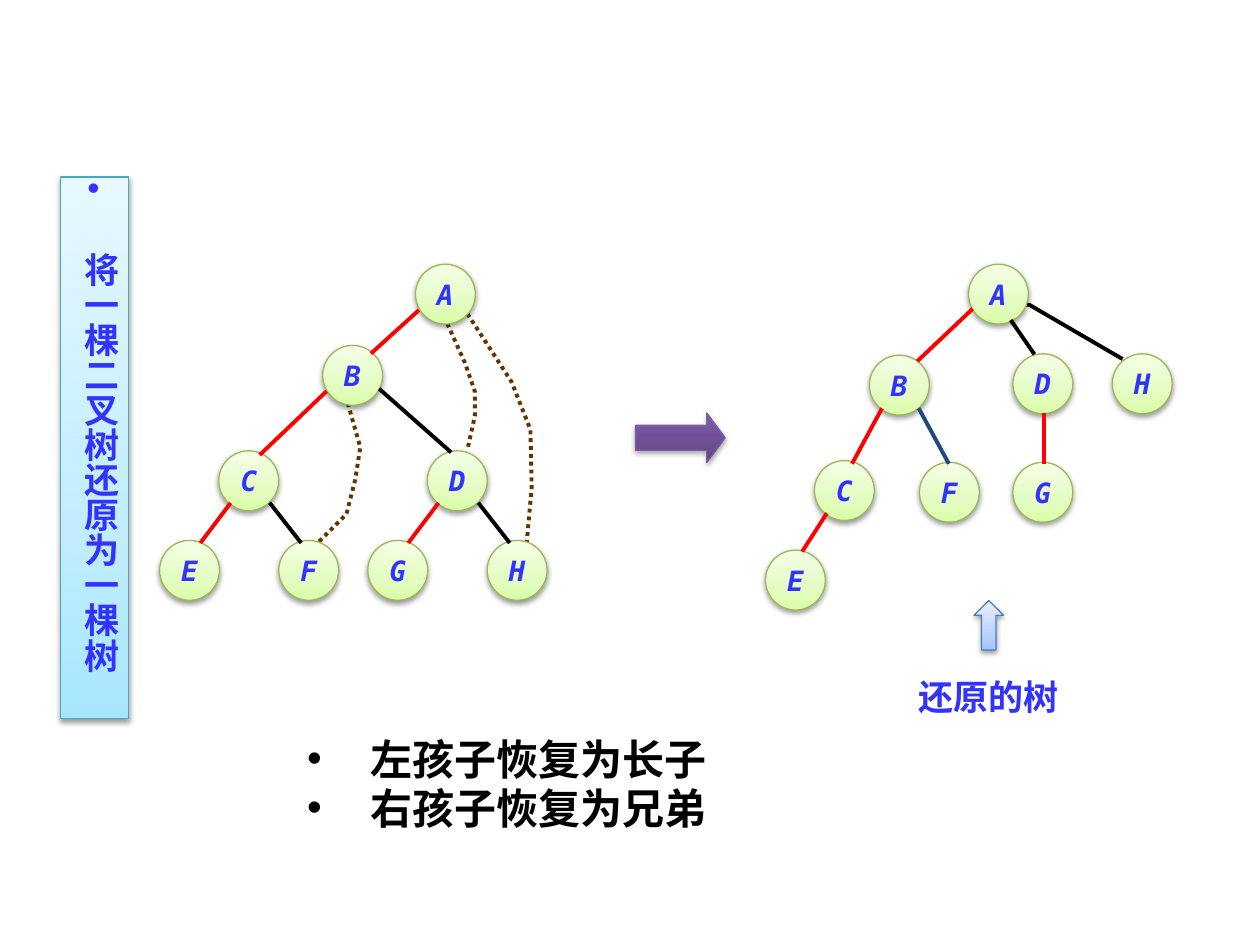
from lxml.etree import SubElement
from pptx import Presentation
from pptx.dml.color import RGBColor
from pptx.enum.dml import MSO_LINE_DASH_STYLE as DASH
from pptx.enum.shapes import MSO_CONNECTOR as CONNECTOR, MSO_SHAPE as SHAPE
from pptx.enum.text import MSO_ANCHOR as ANCHOR, MSO_AUTO_SIZE as AUTO_SIZE, PP_ALIGN as ALIGN
from pptx.oxml import parse_xml
from pptx.oxml.ns import nsdecls, qn
from pptx.util import Pt

BLUE = RGBColor(0x33, 0x33, 0xFF)
RED = RGBColor(0xFF, 0x00, 0x00)
BLACK = RGBColor(0x00, 0x00, 0x00)
WHITE = RGBColor(0xFF, 0xFF, 0xFF)
NAVY = RGBColor(0x1F, 0x49, 0x7D)
BROWN = RGBColor(0x66, 0x33, 0x00)
NODE_LINE = RGBColor(0x98, 0xB9, 0x55)
ARROW_LINE = RGBColor(0x7D, 0x60, 0xA0)
BANNER_LINE = RGBColor(0x46, 0xAA, 0xC5)
POINTER_LINE = RGBColor(0x4B, 0x7E, 0xBC)
NODE_STOPS = [(0, RGBColor(0xDA, 0xFD, 0xA7)), (35, RGBColor(0xE4, 0xFC, 0xC2)), (100, RGBColor(0xF5, 0xFF, 0xE7))]
ARROW_STOPS = [(0, RGBColor(0x5F, 0x44, 0x80)), (80, RGBColor(0x7B, 0x58, 0xA6)), (100, RGBColor(0x7C, 0x57, 0xA8))]
BANNER_STOPS = [(0, RGBColor(0xA7, 0xE6, 0xFF)), (35, RGBColor(0xC1, 0xED, 0xFF)), (100, RGBColor(0xE7, 0xF8, 0xFF))]
POINTER_STOPS = [(0, RGBColor(0xA4, 0xC4, 0xFF)), (35, RGBColor(0xBF, 0xD4, 0xFF)), (100, RGBColor(0xE6, 0xEE, 0xFF))]
MONO = "DejaVu Sans Mono"
CJK_JP = "Noto Sans CJK JP"
CJK_SC = "Noto Sans CJK SC"
NODE_SIZE = 34.2

presentation = Presentation()
presentation.slide_width = Pt(720)
presentation.slide_height = Pt(540)
slide = presentation.slides.add_slide(presentation.slide_layouts[6])
shapes = slide.shapes


def add_glossy(kind, left, top, width, height, stops, line_color, opacity=38):
    shape = shapes.add_shape(kind, Pt(left), Pt(top), Pt(width), Pt(height))
    shape.line.color.rgb = line_color
    shape.line.width = Pt(0.75)
    shape.shadow.inherit = False
    shape.fill.gradient()
    shape.fill.gradient_angle = 90
    properties = shape._element.spPr
    stop_list = properties.find(qn("a:gradFill")).find(qn("a:gsLst"))
    for stop in list(stop_list):
        stop_list.remove(stop)
    for position, color in stops:
        stop = SubElement(stop_list, qn("a:gs"), pos=str(position * 1000))
        SubElement(stop, qn("a:srgbClr"), val=str(color))
    properties.find(qn("a:effectLst")).append(parse_xml(
        f'<a:outerShdw {nsdecls("a")} blurRad="{Pt(3.1)}" dist="{Pt(1.6)}" dir="5400000" rotWithShape="0">'
        f'<a:srgbClr val="000000"><a:alpha val="{opacity * 1000}"/></a:srgbClr></a:outerShdw>'))
    return shape


def add_text(paragraph, text, size, font, color, bullet=False):
    run = paragraph.add_run()
    run.text = text
    run.font.size = Pt(size)
    run.font.bold = True
    run.font.color.rgb = color
    run.font.name = font
    SubElement(run._r.get_or_add_rPr(), qn("a:ea"), typeface=font)
    if bullet:
        properties = paragraph._p.get_or_add_pPr()
        properties.set("marL", str(Pt(36)))
        properties.set("indent", str(-Pt(36)))
        SubElement(properties, qn("a:buFont"), typeface="Arial")
        SubElement(properties, qn("a:buChar"), char="•")
    return run


curves = [
    ([(255.6, 185), (265.7, 207.4), (271.4, 223.9), (271.4, 237.6), (267.1, 257)], BROWN, DASH.ROUND_DOT),
    ([(198.7, 230.4), (205.9, 255.6), (203, 274.3), (198, 293.8), (182.2, 309.6)], BROWN, DASH.ROUND_DOT),
    ([(267.1, 179.3), (292.3, 218.2), (303.1, 245.5), (303.8, 278.6), (301, 309.6)], BROWN, DASH.ROUND_DOT),
    ([(584.6, 174.2), (588.2, 174.2), (641.5, 205.2)], BLACK, DASH.SOLID),
]
for points, color, dash in curves:
    corners = [(Pt(x), Pt(y)) for x, y in points]
    builder = shapes.build_freeform(*corners[0])
    builder.add_line_segments(corners[1:], close=False)
    curve = builder.convert_to_shape()
    curve.fill.background()
    curve.shadow.inherit = False
    curve.line.color.rgb = color
    curve.line.width = Pt(2.25)
    curve.line.dash_style = dash

binary_tree = [("A", 237.4, 151), ("B", 184.4, 197.4), ("C", 125, 257.6), ("D", 244.2, 257.6),
               ("E", 91.2, 308.8), ("F", 159.3, 308.8), ("G", 210.2, 308.8), ("H", 278.4, 308.8)]
restored_tree = [("A", 553.4, 151), ("B", 496.8, 203), ("C", 465.4, 263.2), ("D", 578.8, 202.2),
                 ("E", 437.4, 314.4), ("F", 525.4, 264.2), ("G", 578.8, 264.2), ("H", 635.6, 202.2)]
for letter, left, top in binary_tree + restored_tree:
    node = add_glossy(SHAPE.OVAL, left, top, NODE_SIZE, NODE_SIZE, NODE_STOPS, NODE_LINE)
    node.text_frame.word_wrap = False
    node.text_frame.vertical_anchor = ANCHOR.MIDDLE
    paragraph = node.text_frame.paragraphs[0]
    paragraph.alignment = ALIGN.CENTER
    add_text(paragraph, letter, 16, MONO, BLUE).font.italic = True

edges = [
    (239.4, 177.2, 212, 202, RED), (186.6, 223.6, 148.4, 260, RED),
    (131.8, 287.4, 114.5, 310.3, RED), (250.6, 287.4, 233.3, 310.3, RED),
    (216.7, 222.2, 257.8, 258.5, BLACK), (154.1, 287.3, 172.1, 310.3, BLACK),
    (273.3, 287.3, 291.3, 310.3, BLACK),
    (555.8, 176.5, 524.2, 206.4, RED), (504, 233.3, 486.9, 265, RED),
    (596.4, 235.8, 596.4, 265.3, RED), (472.5, 293.3, 458.4, 315.2, RED),
    (577.6, 182.9, 591.1, 202.5, BLACK), (525, 233.3, 542.2, 265, NAVY),
]
for start_x, start_y, end_x, end_y, color in edges:
    edge = shapes.add_connector(CONNECTOR.STRAIGHT, Pt(start_x), Pt(start_y), Pt(end_x), Pt(end_y))
    edge.line.color.rgb = color
    edge.line.width = Pt(2.25)
    SubElement(edge._element.spPr, qn("a:effectLst"))

arrow = add_glossy(SHAPE.RIGHT_ARROW, 363.2, 236, 51.2, 28.4, ARROW_STOPS, ARROW_LINE, 35)
arrow.adjustments[1] = 0.37

banner = add_glossy(SHAPE.RECTANGLE, 34.4, 101.2, 39, 309.4, BANNER_STOPS, BANNER_LINE)
banner.text_frame.word_wrap = True
banner.text_frame.vertical_anchor = ANCHOR.TOP
banner.text_frame.auto_size = AUTO_SIZE.SHAPE_TO_FIT_TEXT
banner.text_frame._txBody.bodyPr.set("vert", "eaVert")
paragraph = banner.text_frame.paragraphs[0]
paragraph.alignment = ALIGN.CENTER
add_text(paragraph, "将一棵二叉树还原为一棵树", 20, CJK_JP, BLUE, bullet=True)

caption = shapes.add_textbox(Pt(517.6), Pt(382.3), Pt(105.2), Pt(31.6))
caption.text_frame.word_wrap = True
add_text(caption.text_frame.paragraphs[0], "还原的树", 20, CJK_SC, BLUE)
add_glossy(SHAPE.UP_ARROW, 556.6, 343.2, 16.8, 28.2, POINTER_STOPS, POINTER_LINE)

rules = shapes.add_textbox(Pt(168.5), Pt(416.2), Pt(328.3), Pt(64.1))
rules.fill.solid()
rules.fill.fore_color.rgb = WHITE
frame = rules.text_frame
frame.word_wrap = True
for index, rule in enumerate(["左孩子恢复为长子", "右孩子恢复为兄弟"]):
    paragraph = frame.add_paragraph() if index else frame.paragraphs[0]
    paragraph.line_spacing = Pt(28)
    add_text(paragraph, rule, 24, CJK_SC, BLACK, bullet=True)

presentation.save("out.pptx")
